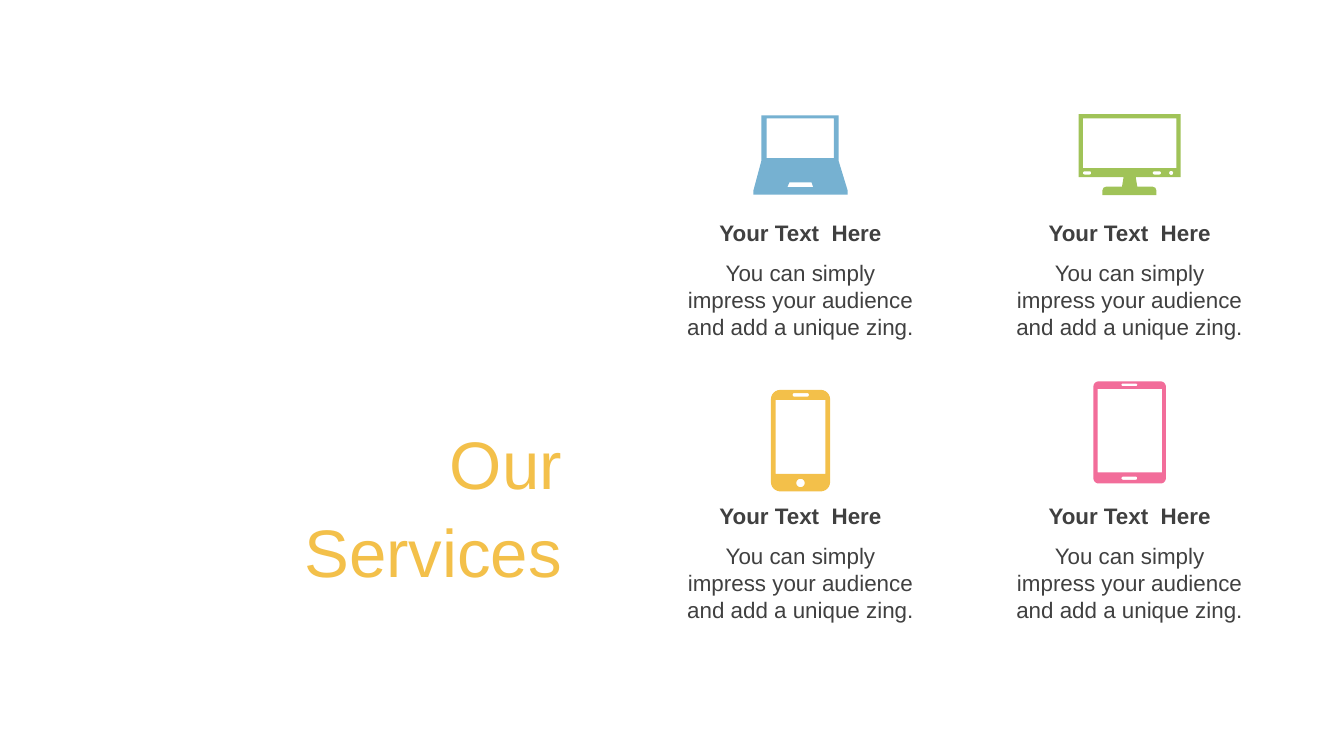
from dataclasses import dataclass
from math import cos, radians, sin

from pptx import Presentation
from pptx.dml.color import RGBColor
from pptx.enum.text import MSO_ANCHOR, MSO_AUTO_SIZE, PP_ALIGN
from pptx.util import Cm, Pt


@dataclass(frozen=True)
class Theme:
    font: str = "Arial"
    text: str = "404040"
    blue: str = "76B1D1"
    green: str = "A0C358"
    yellow: str = "F3C04A"
    pink: str = "F26D9A"
    title_size: int = 36
    text_size: int = 12


THEME = Theme()


def rounded(left, top, width, height, radius=0):
    """Return the corner points of a rectangle, with arcs when it has a radius."""
    right, bottom = left + width, top + height
    if not radius:
        return [(left, top), (right, top), (right, bottom), (left, bottom)]
    centres = [
        (right - radius, bottom - radius),
        (left + radius, bottom - radius),
        (left + radius, top + radius),
        (right - radius, top + radius),
    ]
    return [
        (x + radius * cos(radians(angle)), y + radius * sin(radians(angle)))
        for quarter, (x, y) in enumerate(centres)
        for angle in range(quarter * 90, quarter * 90 + 91, 15)
    ]


def pill(left, top, width, height):
    return rounded(left, top, width, height, height / 2)


# Each device lists its outer outline first, then its cut-outs, in centimetres.
LAPTOP = [
    [(0.15, 0), (1.61, 0), (1.61, 0.86), (1.78, 1.42),
     (1.78, 1.5), (0, 1.5), (0, 1.42), (0.15, 0.86)],
    rounded(0.25, 0.06, 1.27, 0.75),
    [(0.68, 1.27), (1.1, 1.27), (1.13, 1.36), (0.64, 1.36)],
]
MONITOR = [
    [(0, 0), (1.93, 0), (1.93, 1.19), (1.08, 1.19), (1.11, 1.37), (1.4, 1.37),
     (1.45, 1.39), (1.47, 1.44), (1.47, 1.53), (0.45, 1.53), (0.45, 1.44),
     (0.47, 1.39), (0.52, 1.37), (0.82, 1.37), (0.85, 1.19), (0, 1.19)],
    rounded(0.08, 0.08, 1.77, 0.94),
    pill(0.08, 1.08, 0.16, 0.06),
    pill(1.4, 1.08, 0.16, 0.06),
    pill(1.71, 1.07, 0.08, 0.08),
]
PHONE = [
    rounded(0, 0, 1.12, 1.92, 0.18),
    rounded(0.09, 0.19, 0.94, 1.4),
    pill(0.41, 0.06, 0.31, 0.07),
    pill(0.48, 1.68, 0.16, 0.16),
]
TABLET = [
    rounded(0, 0, 1.37, 1.93, 0.1),
    rounded(0.08, 0.14, 1.22, 1.58),
    pill(0.53, 0.04, 0.3, 0.05),
    pill(0.53, 1.8, 0.3, 0.06),
]

# Device, its colour and its distance from the top of the card, row by row.
SERVICES = [
    (LAPTOP, THEME.blue, 0.38),
    (MONITOR, THEME.green, 0.36),
    (PHONE, THEME.yellow, 0.21),
    (TABLET, THEME.pink, 0.05),
]


def add_text(shapes, text, box, size, color, align, bold=False):
    shape = shapes.add_textbox(*map(Cm, box))
    shape.text_frame.word_wrap = True
    paragraph = shape.text_frame.paragraphs[0]
    paragraph.text = text
    paragraph.alignment = align
    font = paragraph.font
    font.name, font.size, font.bold = THEME.font, Pt(size), bold
    font.color.rgb = RGBColor.from_string(color)
    return shape


def add_icon(slide, outlines, color, centre, top):
    """Draw a device centred on a vertical line, with its cut-outs left open."""
    left = centre - max(x for x, _ in outlines[0]) / 2
    placed = [[(Cm(left + x), Cm(top + y)) for x, y in outline] for outline in outlines]
    builder = slide.shapes.build_freeform(*placed[0][0], scale=1.0)
    for number, (start, *others) in enumerate(placed):
        if number:
            builder.move_to(*start)
        builder.add_line_segments(others, close=True)
    shape = builder.convert_to_shape()
    shape.shadow.inherit = False
    shape.fill.solid()
    shape.fill.fore_color.rgb = RGBColor.from_string(color)
    shape.line.fill.background()


def add_title(slide, box):
    shape = add_text(slide.shapes, "Our Services", box,
                     THEME.title_size, THEME.yellow, PP_ALIGN.RIGHT)
    shape.text_frame.vertical_anchor = MSO_ANCHOR.MIDDLE
    shape.text_frame.paragraphs[0].line_spacing = 1.1


def add_card(slide, box, device, color, icon_top):
    """Place an icon, a heading and a description in one box."""
    left, top, width, height = box
    heading_top, body_top = 2.21, 2.97
    add_icon(slide, device, color, left + width / 2, top + icon_top)
    group = slide.shapes.add_group_shape()
    texts = [
        ("You can simply impress your audience and add a unique zing.",
         body_top, height - body_top, False),
        ("Your Text  Here", heading_top, body_top - heading_top, True),
    ]
    for text, offset, text_height, bold in texts:
        shape = add_text(group.shapes, text, (left, top + offset, width, text_height),
                         THEME.text_size, THEME.text, PP_ALIGN.CENTER, bold)
        shape.text_frame.auto_size = MSO_AUTO_SIZE.SHAPE_TO_FIT_TEXT


def add_services(slide, box):
    """Place the service cards in two columns and two rows."""
    left, top, width, height = box
    card_width, card_height = 4.9, 4.77
    for number, service in enumerate(SERVICES):
        row, column = divmod(number, 2)
        card = (left + column * (width - card_width),
                top + row * (height - card_height), card_width, card_height)
        add_card(slide, card, *service)


def main():
    presentation = Presentation()
    presentation.slide_width, presentation.slide_height = Cm(25.4), Cm(14.29)
    slide = presentation.slides.add_slide(presentation.slide_layouts[6])
    add_title(slide, (4.8, 7.9, 6.07, 3.2))
    add_services(slide, (12.68, 1.8, 11.12, 10.13))
    presentation.save("out.pptx")


if __name__ == "__main__":
    main()
